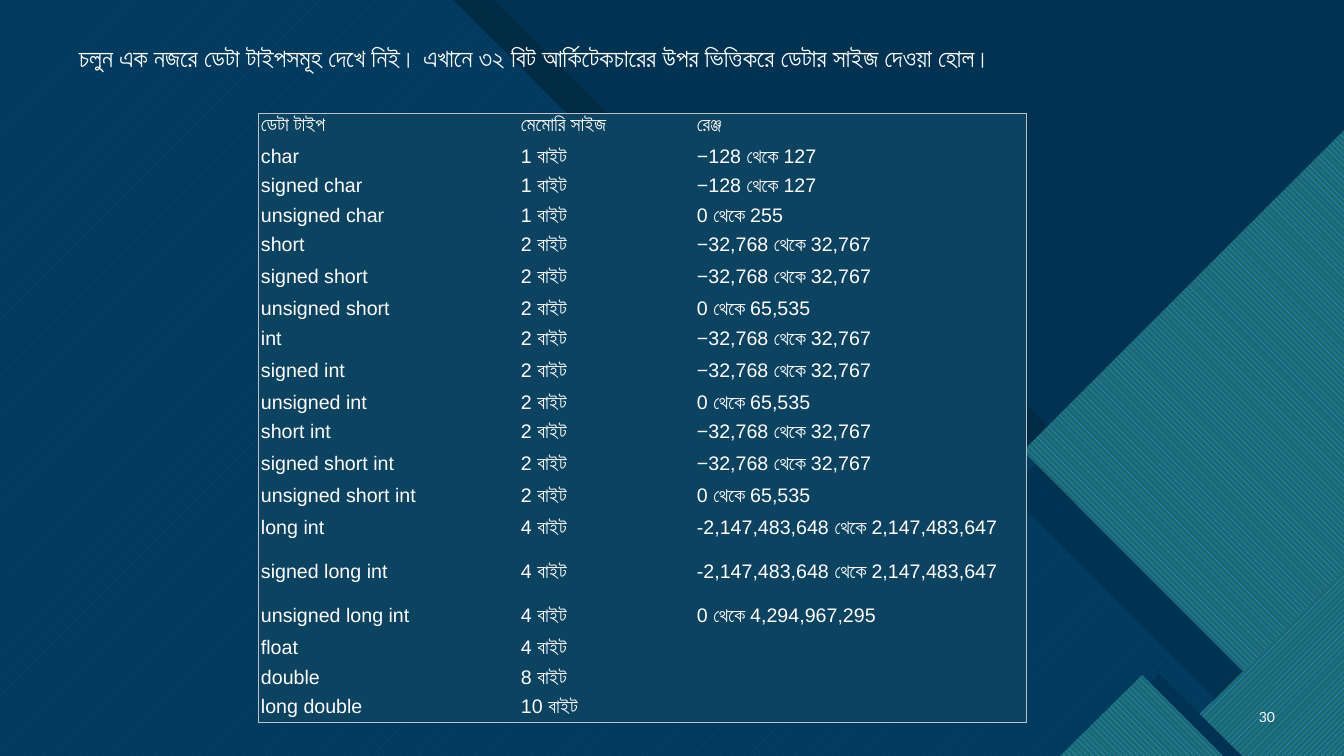
from pptx import Presentation
from pptx.dml.color import RGBColor
from pptx.enum.dml import MSO_PATTERN_TYPE as Pattern
from pptx.enum.text import MSO_ANCHOR as Anchor, PP_ALIGN as Align
from pptx.oxml.ns import qn
from pptx.util import Pt
from lxml.etree import SubElement

PX = 914400 / 100.8
WIDTH, HEIGHT = 1344, 756

NAVY = RGBColor(0x00, 0x33, 0x52)
BLACK = RGBColor(0x00, 0x00, 0x00)
WHITE = RGBColor(0xFF, 0xFF, 0xFF)
AQUA = RGBColor(0x47, 0xC3, 0xD3)
BLUE = RGBColor(0x00, 0x65, 0xA4)
SKY = RGBColor(0x2F, 0xAF, 0xFF)
TEAL = RGBColor(0x1B, 0x68, 0x72)
TABLE_FILL = RGBColor(0x0C, 0x43, 0x60)
BORDER = RGBColor(0xBD, 0xC0, 0xC5)
NO_STYLE = "{2D5ABB26-0587-4C30-8999-92F81FD0307C}"


def px(*lengths):
    return [round(length * PX) for length in lengths]


def add_text(area, text, size, font, align):
    box = page.shapes.add_textbox(*px(*area))
    frame = box.text_frame
    frame.word_wrap = True
    frame.vertical_anchor = Anchor.MIDDLE
    para = frame.paragraphs[0]
    para.text = text
    para.alignment = align
    para.font.size = Pt(size)
    para.font.name = font
    para.font.color.rgb = WHITE


deck = Presentation()
deck.slide_width, deck.slide_height = px(WIDTH, HEIGHT)
page = deck.slides.add_slide(deck.slide_layouts[6])
page.background.fill.solid()
page.background.fill.fore_color.rgb = NAVY

# Backdrop, back to front: outline, main colour, pattern, pattern back colour, opacity %
UP, DOWN = Pattern.WIDE_UPWARD_DIAGONAL, Pattern.WIDE_DOWNWARD_DIAGONAL
backdrop = [
    ([(42, 0), (494, 0), (794, 299), (921, 299), (1344, 723), (1344, 756), (42, 756)],
     BLACK, None, None, 100),
    ([(0, 0), (453, 0), (752, 299), (879, 299), (1336, 756), (0, 756)],
     AQUA, UP, BLUE, 100),
    ([(0, 0), (701, 0), (1000, 299), (1127, 299), (1344, 517), (1344, 756), (0, 756)],
     NAVY, None, None, 85),
    # Large diamond with its shadow
    ([(1344, 156), (1344, 714), (1230, 714), (1008, 492)], NAVY, None, None, 100),
    ([(1344, 130), (1344, 743), (1315, 743), (1023, 451)], SKY, DOWN, TEAL, 100),
    # Corner triangle
    ([(1344, 571), (1344, 756), (1158, 756)], SKY, UP, TEAL, 100),
    # Small peak with its shadow
    ([(1242, 756), (1159, 674), (1078, 756)], NAVY, None, None, 100),
    ([(1060, 756), (1142, 675), (1223, 756)], SKY, DOWN, TEAL, 100),
]
for points, color, pattern, back, opacity in backdrop:
    builder = page.shapes.build_freeform(*points[0], scale=PX)
    builder.add_line_segments(points[1:], close=True)
    shape = builder.convert_to_shape()
    shape.shadow.inherit = False
    shape.line.fill.background()
    if pattern:
        shape.fill.patterned()
        shape.fill.pattern = pattern
        shape.fill.back_color.rgb = back
    else:
        shape.fill.solid()
    shape.fill.fore_color.rgb = color
    if opacity < 100:
        tint = shape._element.spPr.find(qn("a:solidFill"))[0]
        SubElement(tint, qn("a:alpha"), val=str(opacity * 1000))

# Slide number
add_text((1241, 697, 44, 40), "30", 10, "Lato", Align.RIGHT)

# Table of data types: name, size, range, row height
SHORT, MEDIUM, TALL = 29, 32, 44
SIGNED, UNSIGNED = "−32,768 থেকে 32,767", "0 থেকে 65,535"
LONG = "-2,147,483,648 থেকে 2,147,483,647"
rows = [
    ("ডেটা টাইপ", "মেমোরি সাইজ", "রেঞ্জ", SHORT),
    ("char", "1 বাইট", "−128 থেকে 127", SHORT),
    ("signed char", "1 বাইট", "−128 থেকে 127", SHORT),
    ("unsigned char", "1 বাইট", "0 থেকে 255", SHORT),
    ("short", "2 বাইট", SIGNED, MEDIUM),
    ("signed short", "2 বাইট", SIGNED, MEDIUM),
    ("unsigned short", "2 বাইট", UNSIGNED, SHORT),
    ("int", "2 বাইট", SIGNED, MEDIUM),
    ("signed int", "2 বাইট", SIGNED, MEDIUM),
    ("unsigned int", "2 বাইট", UNSIGNED, SHORT),
    ("short int", "2 বাইট", SIGNED, MEDIUM),
    ("signed short int", "2 বাইট", SIGNED, MEDIUM),
    ("unsigned short int", "2 বাইট", UNSIGNED, MEDIUM),
    ("long int", "4 বাইট", LONG, TALL),
    ("signed long int", "4 বাইট", LONG, TALL),
    ("unsigned long int", "4 বাইট", "0 থেকে 4,294,967,295", MEDIUM),
    ("float", "4 বাইট", "", SHORT),
    ("double", "8 বাইট", "", SHORT),
    ("long double", "10 বাইট", "", SHORT),
]
widths = px(260, 176, 332)
total = sum(row[-1] for row in rows)
holder = page.shapes.add_table(len(rows), len(widths), *px(258, 113, 768, total))
table = holder.table
table.first_row = table.horz_banding = False
next(holder._element.iter(qn("a:tableStyleId"))).text = NO_STYLE
for column, width in zip(table.columns, widths):
    column.width = width

for r, (*texts, height) in enumerate(rows):
    table.rows[r].height = px(height)[0]
    for c, text in enumerate(texts):
        cell = table.cell(r, c)
        inset = px(3)[0]
        cell.margin_left = cell.margin_right = inset
        cell.margin_top = cell.margin_bottom = inset
        para = cell.text_frame.paragraphs[0]
        para.text = text
        para.font.size = Pt(14)
        para.font.name = "Arial"
        para.font.color.rgb = WHITE
        # Border on the outer edges only
        edges = {"L": c == 0, "R": c == len(widths) - 1, "T": r == 0, "B": r == len(rows) - 1}
        properties = cell._tc.get_or_add_tcPr()
        for side, outer in edges.items():
            if outer:
                line = SubElement(properties, qn(f"a:ln{side}"), w=str(Pt(0.5)))
                ink = SubElement(line, qn("a:solidFill"))
                SubElement(ink, qn("a:srgbClr"), val=str(BORDER))
        cell.fill.solid()
        cell.fill.fore_color.rgb = TABLE_FILL

# Introductory sentence
add_text((69, 21, 1082, 72),
         "চলুন এক নজরে ডেটা টাইপসমূহ দেখে নিই। এখানে ৩২ বিট আর্কিটেকচারের উপর "
         "ভিত্তিকরে ডেটার সাইজ দেওয়া হোল।", 18, "Open Sans", Align.LEFT)

deck.save("out.pptx")
